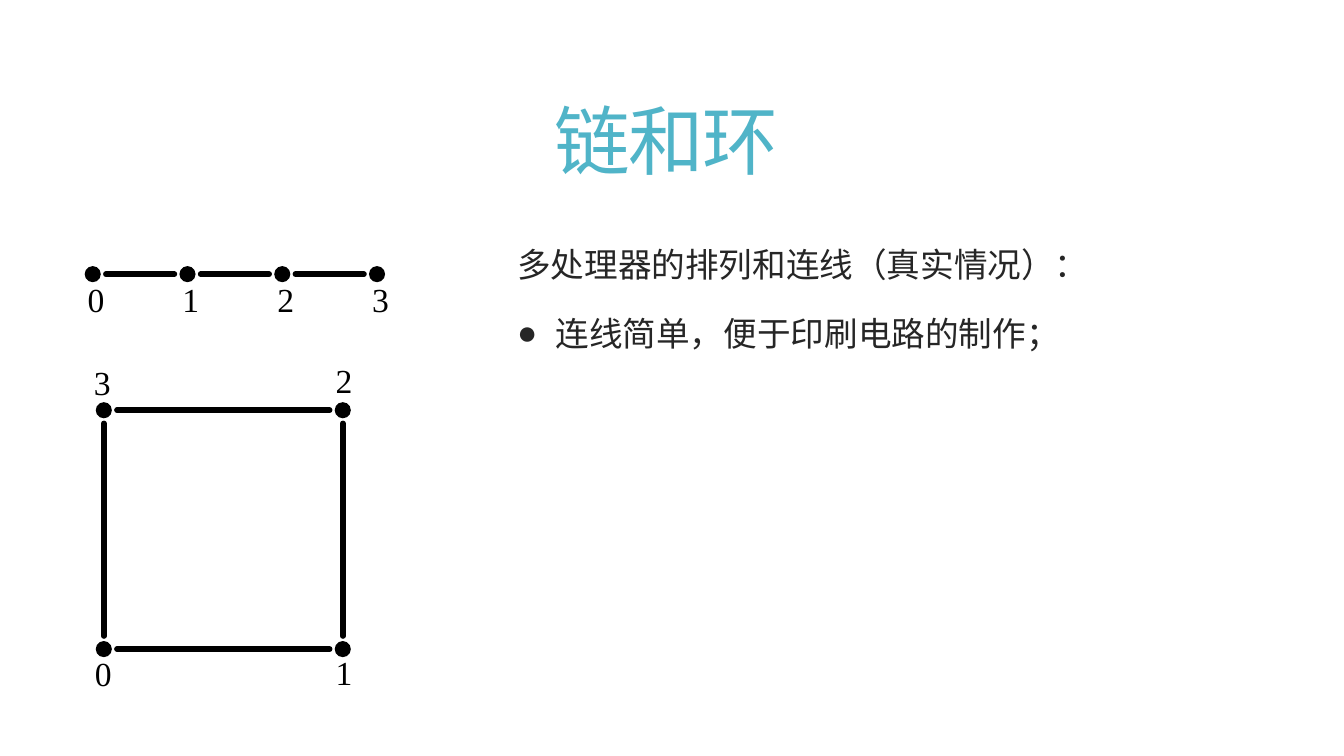
from dataclasses import dataclass
from itertools import pairwise

from lxml.etree import SubElement
from pptx import Presentation
from pptx.dml.color import RGBColor
from pptx.enum.shapes import MSO_CONNECTOR, MSO_SHAPE
from pptx.enum.text import MSO_ANCHOR, MSO_AUTO_SIZE, PP_ALIGN
from pptx.oxml.ns import qn
from pptx.util import Inches, Pt


@dataclass(frozen=True)
class Theme:
    title: RGBColor = RGBColor(0x50, 0xB4, 0xC8)
    body: RGBColor = RGBColor(0x26, 0x26, 0x26)
    ink: RGBColor = RGBColor(0, 0, 0)
    text_font: str = "Calibri"
    label_font: str = "Times New Roman"
    title_size: Pt = Pt(54)
    text_size: Pt = Pt(24)
    link_width: Pt = Pt(4)


THEME = Theme()
NODE = 0.16  # node diameter
GAP = 0.13  # from a node's centre to the end of its link


def place(sp, left, top, width, height):
    sp.left, sp.top = Inches(left), Inches(top)
    sp.width, sp.height = Inches(width), Inches(height)


def add_run(p, text, font, size, color):
    r = p.add_run()
    r.text = text
    r.font.name, r.font.size = font, size
    r.font.color.rgb = color
    return r


def fill_title(sp, text):
    place(sp, 0.72, 0.55, 11.78, 1.81)
    tf = sp.text_frame
    tf.vertical_anchor = MSO_ANCHOR.MIDDLE
    tf.auto_size = MSO_AUTO_SIZE.NONE
    p = tf.paragraphs[0]
    p.alignment = PP_ALIGN.CENTER
    p.line_spacing = 0.85
    r = add_run(p, text, THEME.text_font, THEME.title_size, THEME.title)
    r.font._element.set("spc", "-120")


def fill_body(sp, lines):
    """Each line is a text and its bullet, or None."""
    place(sp, 5.03, 2.17, 7.46, 4.12)
    tf = sp.text_frame
    tf.auto_size = MSO_AUTO_SIZE.NONE
    for i, (text, bullet) in enumerate(lines):
        p = tf.add_paragraph() if i else tf.paragraphs[0]
        pPr = p._p.get_or_add_pPr()
        indent = Inches(0.38) if bullet else 0
        pPr.set("marL", str(indent))
        pPr.set("indent", str(-indent))
        p.line_spacing = 1.5
        p.space_before = Pt(6 if i else 0)
        if bullet:
            SubElement(pPr, qn("a:buChar")).set("char", bullet)
        else:
            SubElement(pPr, qn("a:buNone"))
        add_run(p, text, THEME.text_font, THEME.text_size, THEME.body)


def add_node(slide, x, y):
    s = slide.shapes.add_shape(MSO_SHAPE.OVAL, Inches(x - NODE / 2), Inches(y - NODE / 2),
                               Inches(NODE), Inches(NODE))
    s.shadow.inherit = False
    s.fill.solid()
    s.fill.fore_color.rgb = THEME.ink
    s.line.fill.background()


def add_link(slide, start, end):
    """Join two nodes on one row or column, leaving a gap at both."""
    (x1, y1), (x2, y2) = sorted((start, end))
    dx, dy = (GAP, 0) if y1 == y2 else (0, GAP)
    s = slide.shapes.add_connector(MSO_CONNECTOR.STRAIGHT, Inches(x1 + dx), Inches(y1 + dy),
                                   Inches(x2 - dx), Inches(y2 - dy))
    s.line.color.rgb = THEME.ink
    s.line.width = THEME.link_width
    s.line._get_or_add_ln().set("cap", "rnd")
    SubElement(s._element.spPr, qn("a:effectLst"))


def add_label(slide, text, left, top):
    s = slide.shapes.add_textbox(Inches(left), Inches(top), Inches(0.19), Inches(0.4))
    tf = s.text_frame
    tf.margin_left = tf.margin_right = tf.margin_top = tf.margin_bottom = 0
    tf.word_wrap = False
    tf.auto_size = MSO_AUTO_SIZE.SHAPE_TO_FIT_TEXT
    add_run(tf.paragraphs[0], text, THEME.label_font, THEME.text_size, THEME.ink)


def add_network(slide, nodes, links, label_offsets):
    """Draw numbered nodes and the links between them."""
    for start, end in links:
        add_link(slide, start, end)
    for number, ((x, y), (dx, dy)) in enumerate(zip(nodes, label_offsets)):
        add_node(slide, x, y)
        add_label(slide, str(number), x + dx, y + dy)


def main():
    prs = Presentation()
    prs.slide_width, prs.slide_height = Inches(13.33), Inches(7.5)
    slide = prs.slides.add_slide(prs.slide_layouts[1])

    # Title and text
    fill_title(slide.shapes.title, "链和环")
    fill_body(slide.placeholders[1], [
        ("多处理器的排列和连线（真实情况）：", None),
        ("连线简单，便于印刷电路的制作；", "●"),
    ])

    # Chain of four nodes
    chain = [(0.92 + 0.94 * i, 2.72) for i in range(4)]
    add_network(slide, chain, pairwise(chain), [(-0.05, 0.05)] * 4)

    # Ring of four nodes, counted from the lower left
    left, right, top, bottom = 1.03, 3.4, 4.07, 6.44
    ring = [(left, bottom), (right, bottom), (right, top), (left, top)]
    add_network(slide, ring, pairwise(ring + ring[:1]),
                [(-0.09, 0.04), (-0.07, 0.03), (-0.07, -0.5), (-0.1, -0.48)])

    prs.save("out.pptx")


if __name__ == "__main__":
    main()
